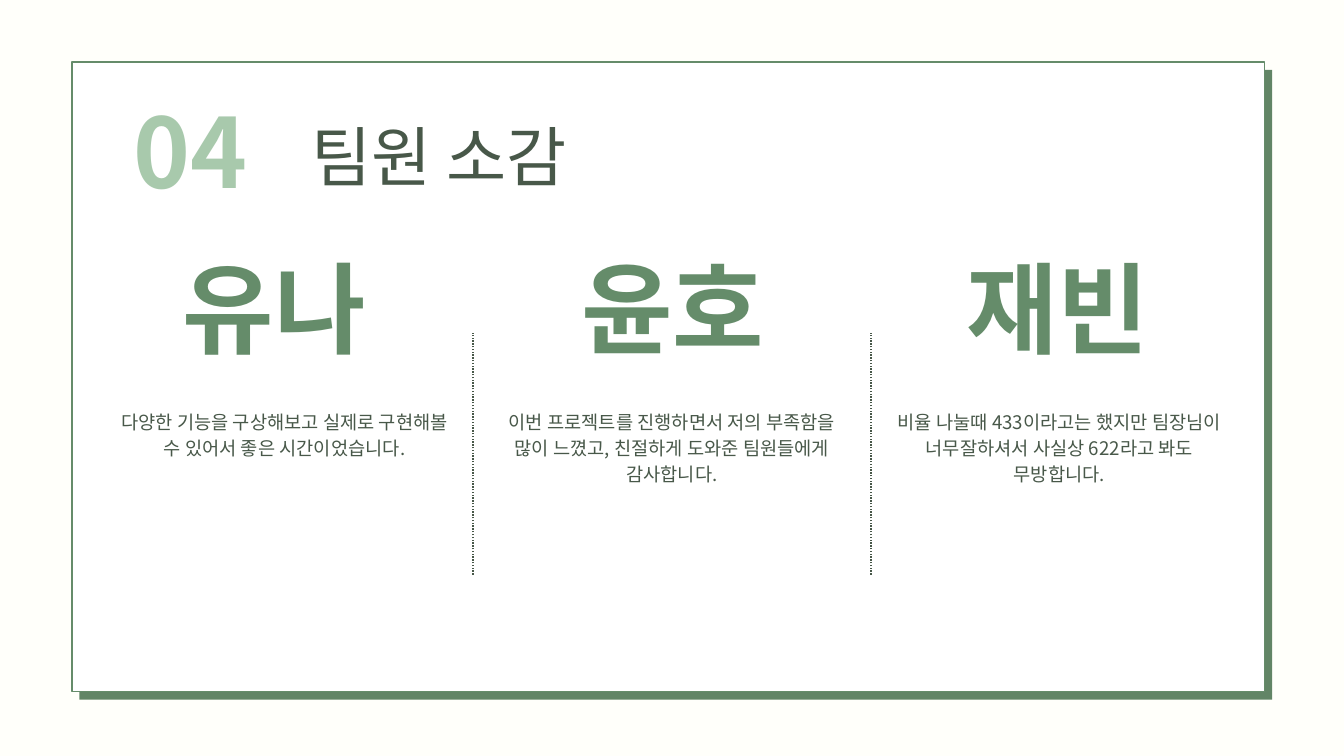
from dataclasses import dataclass

from lxml import etree
from pptx import Presentation
from pptx.dml.color import RGBColor
from pptx.enum.dml import MSO_LINE
from pptx.enum.shapes import MSO_CONNECTOR, MSO_SHAPE
from pptx.enum.text import MSO_ANCHOR, MSO_AUTO_SIZE, PP_ALIGN
from pptx.oxml.ns import qn
from pptx.util import Inches, Pt

RECT = MSO_SHAPE.RECTANGLE
STRAIGHT = MSO_CONNECTOR.STRAIGHT
DOTS = MSO_LINE.ROUND_DOT
LEFT, MID = PP_ALIGN.LEFT, PP_ALIGN.CENTER
TOP, FIXED = MSO_ANCHOR.TOP, MSO_AUTO_SIZE.NONE


@dataclass(frozen=True)
class Style:
    size: float
    lead: float
    color: str
    font: str = "Noto Sans CJK KR"
    bold: bool = False
    align: int = MID
    alpha: int = 100


class Theme:
    page, card, shade = "FFFFFA", "FFFFFF", "628566"
    edge, dark = "658C6A", "485849"
    title = Style(70, 98, dark, align=LEFT)
    number = Style(103.5, 144.9, "8CB791", bold=True, align=LEFT, alpha=74)
    name = Style(106.4, 149, edge, font="Montserrat", bold=True)
    body = Style(20, 28, dark)


# Column grid: left edge of the first comment, and the step to the next
WIDE, HIGH = 20, 11.25
START, STEP = 1.67, 5.765

# Name, left edge of the name, comment paragraphs
TEAM = [
    ("유나", 1.86, ["다양한 기능을 구상해보고 실제로 구현해볼 수 있어서 좋은 시간이었습니다."]),
    ("윤호", 7.79, ["이번 프로젝트를 진행하면서 저의 부족함을 많이 느꼈고, "
                  "친절하게 도와준 팀원들에게 감사합니다."]),
    ("재빈", 13.52, ["비율 나눌때 433이라고는 했지만 팀장님이 너무잘하셔서 사실상 622라고 봐도",
                   "무방합니다."]),
]


def rgb(code):
    return RGBColor.from_string(code)


def write(shape, lines, style):
    """Fill a shape's text frame with evenly styled paragraphs."""
    frame = shape.text_frame
    frame.word_wrap = True
    frame.auto_size = FIXED
    frame.vertical_anchor = TOP
    frame.margin_left = frame.margin_right = 0
    frame.margin_top = frame.margin_bottom = 0
    frame.text = "\n".join(lines)
    for para in frame.paragraphs:
        para.alignment = style.align
        para.line_spacing = Pt(style.lead)
        para.space_before = Pt(0)
        font = para.font
        font.size, font.bold, font.name = Pt(style.size), style.bold, style.font
        font.color.rgb = rgb(style.color)
        # East Asian typeface and transparency
        props = para._p.pPr.find(qn("a:defRPr"))
        etree.SubElement(props, qn("a:ea"), typeface=style.font)
        if style.alpha < 100:
            tint = props.find(".//" + qn("a:srgbClr"))
            etree.SubElement(tint, qn("a:alpha"), val=str(style.alpha * 1000))


def label(slide, box, lines, style):
    write(slide.shapes.add_textbox(*map(Inches, box)), lines, style)


def head(slide, box, text, style):
    title = slide.shapes.title
    title.left, title.top, title.width, title.height = map(Inches, box)
    write(title, [text], style)


def panel(slide, x, y, fill, edge=None):
    shape = slide.shapes.add_shape(RECT, *map(Inches, (x, y, 17.75, 9.37)))
    shape.shadow.inherit = False
    shape.fill.solid()
    shape.fill.fore_color.rgb = rgb(fill)
    if edge:
        shape.line.color.rgb = rgb(edge)
        shape.line.width = Pt(1.5)
    else:
        shape.line.fill.background()
    return shape


def rule(slide, x):
    """Dotted upright line between two columns."""
    line = slide.shapes.add_connector(
        STRAIGHT, *map(Inches, (x, 8.55, x, 4.95)))
    line.line.color.rgb = rgb(Theme.dark)
    line.line.width = Pt(1.5)
    line.line.dash_style = DOTS
    etree.SubElement(line._element.spPr, qn("a:effectLst"))


def main():
    deck = Presentation()
    deck.slide_width, deck.slide_height = Inches(WIDE), Inches(HIGH)
    slide = deck.slides.add_slide(deck.slide_layouts[5])
    slide.background.fill.solid()
    slide.background.fill.fore_color.rgb = rgb(Theme.page)

    # Card over its offset shade, both behind the title
    tree = slide.shapes._spTree
    shade = panel(slide, 1.18, 1.04, Theme.shade)
    card = panel(slide, 1.07, 0.92, Theme.card, Theme.edge)
    for spot, shape in enumerate((shade, card), 2):
        tree.insert(spot, shape._element)

    # Heading
    head(slide, (4.64, 1.54, 8.88, 1.3), "팀원 소감", Theme.title)
    label(slide, (1.99, 1.08, 2.24, 1.93), ["04"], Theme.number)

    # Dividers, mirrored about the middle
    for side in (-1, 1):
        rule(slide, WIDE / 2 + side * 2.96)

    # Team columns
    for col, (name, left, lines) in enumerate(TEAM):
        label(slide, (left, 3.38, 4.44, 1.98), [name], Theme.name)
        label(slide, (START + col * STEP, 6.06, 5.13, 1.16), lines, Theme.body)

    deck.save("out.pptx")


if __name__ == "__main__":
    main()
